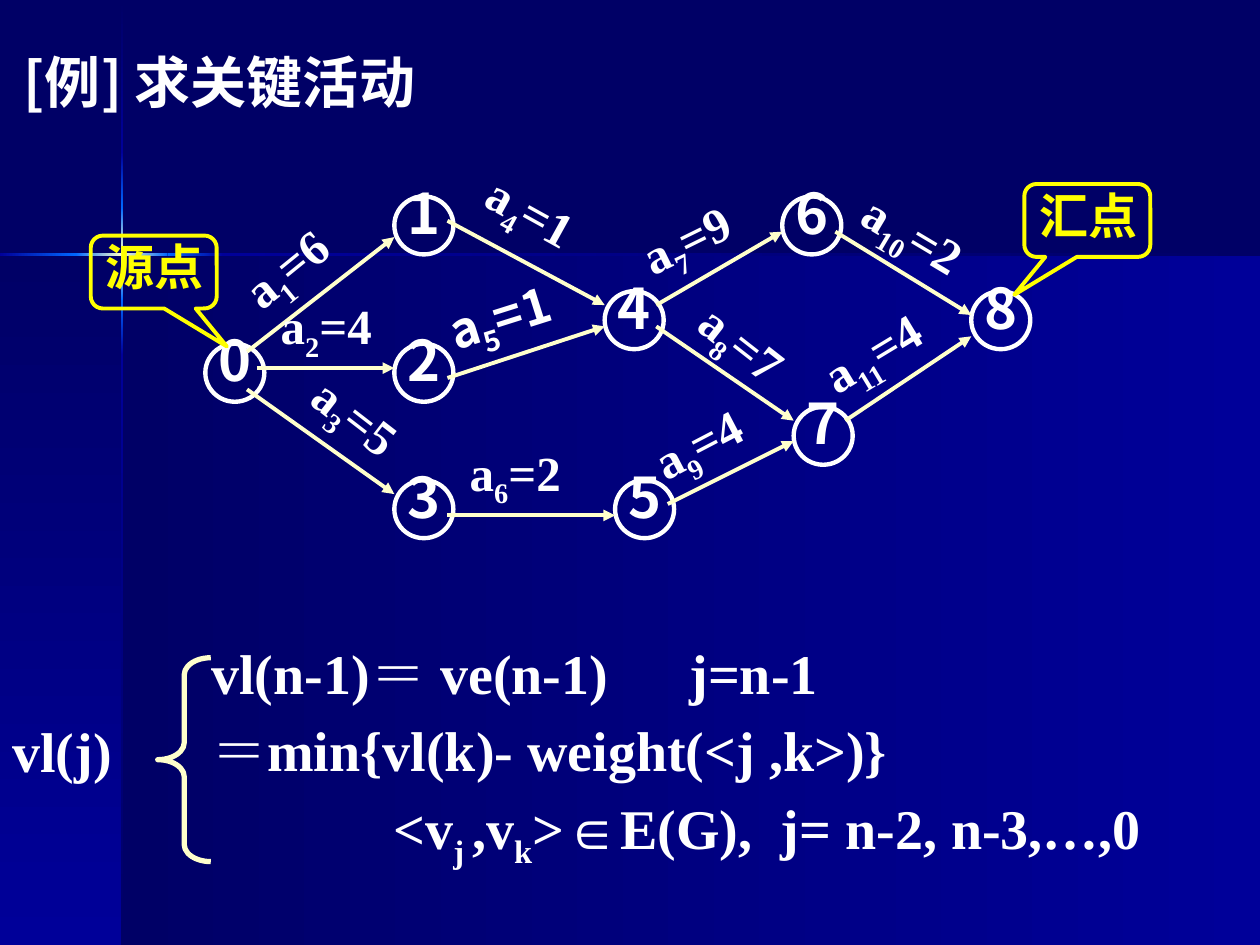
from itertools import pairwise

from lxml.etree import SubElement
from pptx import Presentation
from pptx.dml.color import RGBColor
from pptx.enum.shapes import MSO_CONNECTOR, MSO_SHAPE
from pptx.enum.text import MSO_ANCHOR, MSO_AUTO_SIZE, PP_ALIGN
from pptx.oxml import parse_xml
from pptx.oxml.ns import nsdecls, qn
from pptx.util import Cm, Pt

COLORS = {
    "night": "000066", "blue": "000099", "glow": "0066FF",
    "cream": "FFFFCC", "white": "FFFFFF", "yellow": "FFFF00",
}
SANS, SERIF = "Noto Sans CJK SC", "Times New Roman"
RIGHT, DOWN = 0, 90

NODE_SIZE = (1.19, 1.17)
# Left and top of each numbered event
NODES = [(2.54, 3.33), (6.35, 0.36), (6.35, 3.33), (6.35, 6.08), (10.59, 2.27),
         (10.8, 6.08), (14.17, 0.36), (14.4, 4.6), (17.98, 2.27)]
# Weight, target event, arrow start x and y, arrow end y, label left, top and angle
ACTIVITIES = [
    (6, 1, 3.38, 3.49, 1.18, 2.92, 0.87, -39.1),
    (4, 2, 3.58, 3.82, 3.82, 3.81, 2.24, 0),
    (5, 3, 3.38, 4.25, 6.36, 4.29, 4.45, 37.7),
    (1, 4, 7.42, 0.85, 2.55, 7.87, 0.24, 28.9),
    (1, 4, 7.42, 4.02, 2.98, 7.16, 1.91, -17.6),
    (2, 5, 7.42, 6.79, 6.79, 7.62, 5.19, 0),
    (9, 6, 11.63, 2.55, 1.07, 11, 0.21, -26.2),
    (7, 7, 11.63, 2.98, 4.88, 12.07, 2.98, 38),
    (4, 7, 11.86, 6.56, 5.29, 11.23, 4.32, -27.6),
    (2, 8, 15.24, 1.07, 2.75, 15.44, 0.64, 30.9),
    (4, 8, 15.44, 4.88, 3.18, 14.61, 2.52, -31.2),
]


def color(name):
    return RGBColor.from_string(COLORS[name])


def write(paragraph, text, size, font=SERIF, ink="white", align=PP_ALIGN.LEFT, tabs=()):
    """Fill a paragraph; every second piece between underscores is a subscript."""
    if tabs:
        tab_list = SubElement(paragraph._p.get_or_add_pPr(), qn("a:tabLst"))
        for stop in tabs:
            SubElement(tab_list, qn("a:tab"), pos=str(Cm(stop)), algn="l")
    for i, piece in enumerate(text.split("_")):
        run = paragraph.add_run()
        run.text = piece
        if i % 2:
            run._r.get_or_add_rPr().set("baseline", "-25000")
    paragraph.alignment = align
    paragraph.font.size, paragraph.font.bold = Pt(size), True
    paragraph.font.name = font
    paragraph.font.color.rgb = color(ink)
    latin = paragraph._p.pPr.find(qn("a:defRPr")).find(qn("a:latin"))
    latin.addnext(parse_xml(f'<a:ea {nsdecls("a")} typeface="{font}"/>'))


def add_text(slide, left, top, width, height, text="", size=32, inset=True, **style):
    box = slide.shapes.add_textbox(Cm(left), Cm(top), Cm(width), Cm(height))
    frame = box.text_frame
    frame.word_wrap = True
    if not inset:
        frame.margin_left = frame.margin_right = frame.margin_top = frame.margin_bottom = 0
    if text:
        write(frame.paragraphs[0], text, size, **style)
    return box


def add_outline(slide, kind, left, top, width, height, ink, weight):
    shape = slide.shapes.add_shape(kind, Cm(left), Cm(top), Cm(width), Cm(height))
    shape.shadow.inherit = False
    shape.fill.background()
    shape.line.color.rgb = color(ink)
    shape.line.width = Pt(weight)
    return shape


def add_gradient(slide, left, top, width, height, names, angle):
    panel = slide.shapes.add_shape(
        MSO_SHAPE.RECTANGLE, Cm(left), Cm(top), Cm(width), Cm(height))
    stops = "".join(
        f'<a:gs pos="{i * 100000 // (len(names) - 1)}"><a:srgbClr val="{COLORS[name]}"/></a:gs>'
        for i, name in enumerate(names))
    panel._element.spPr.find(qn("a:prstGeom")).addnext(parse_xml(
        f'<a:gradFill {nsdecls("a")} rotWithShape="1"><a:gsLst>{stops}</a:gsLst>'
        f'<a:lin ang="{angle * 60000}" scaled="0"/></a:gradFill>'))
    panel.line.fill.background()
    panel.shadow.inherit = False


def add_backdrop(slide, width, height, beam_x, beam_y):
    slide.background.fill.solid()
    slide.background.fill.fore_color.rgb = color("night")
    add_gradient(slide, beam_x, beam_y, width - beam_x, height - beam_y,
                 ["night", "blue"], RIGHT)
    add_gradient(slide, 0, beam_y, beam_x, height - beam_y, ["night", "blue"], DOWN)

    # Two thin beams that flare where they cross
    flare = [("night", "blue"), ("blue", "glow"), ("glow", "cream", "glow"),
             ("glow", "blue"), ("blue", "night")]
    thickness = 0.05
    rows = pairwise([0, 3.07, 4.19, 6.05, 7.16, height])
    for (start, end), names in zip(rows, flare):
        add_gradient(slide, beam_x - 0.02, start, thickness, end - start, names, DOWN)
    columns = pairwise([0, 1.53, 3.38, 4.5, width])
    for (start, end), names in zip(columns, flare[1:]):
        add_gradient(slide, start, beam_y - 0.02, end - start, thickness, names, RIGHT)


def add_title(slide, left, top, width, height):
    title = slide.shapes.title
    title.left, title.top, title.width, title.height = map(Cm, (left, top, width, height))
    frame = title.text_frame
    frame.auto_size = MSO_AUTO_SIZE.NONE
    frame.vertical_anchor = MSO_ANCHOR.TOP
    frame.margin_left = Cm(0.48)
    write(frame.paragraphs[0], "[例] 求关键活动", 32, font=SANS)


def add_arrow(slide, x1, y1, x2, y2):
    arrow = slide.shapes.add_connector(
        MSO_CONNECTOR.STRAIGHT, Cm(x1), Cm(y1), Cm(x2), Cm(y2))
    arrow.line.color.rgb = color("cream")
    arrow.line.width = Pt(2.25)
    SubElement(arrow.line._get_or_add_ln(), qn("a:tailEnd"), type="triangle")
    SubElement(arrow._element.spPr, qn("a:effectLst"))


def add_callout(slide, left, top, text, tip_x):
    add_text(slide, left - 0.2, top - 0.1, 2.97, 1.45, text, 28,
             font=SANS, ink="yellow", align=PP_ALIGN.CENTER)
    bubble = add_outline(slide, MSO_SHAPE.ROUNDED_RECTANGULAR_CALLOUT,
                         left, top, 2.54, 1.47, "yellow", 2.25)
    bubble.adjustments[0], bubble.adjustments[1] = tip_x, 1.02


def add_network(slide, left, top):
    # Events
    width, height = NODE_SIZE
    for number, (x, y) in enumerate(NODES):
        add_outline(slide, MSO_SHAPE.OVAL, left + x, top + y, width, height, "white", 2.5)
        add_text(slide, left + x + 0.05, top + y - 0.36, width - 0.1, 1.6, str(number),
                 inset=False, font=SANS, align=PP_ALIGN.CENTER)

    # Activities
    for number, (weight, target, x, y, end_y, label_x, label_y, angle) in enumerate(
            ACTIVITIES, start=1):
        add_arrow(slide, left + x, top + y, left + NODES[target][0], top + end_y)
        label = add_text(slide, left + label_x, top + label_y, 2.97 if number == 1 else 3.61,
                         1.45, f"a_{number}_={weight}", 28,
                         font=SANS if number == 5 else SERIF)
        label.rotation = angle

    # Source and sink
    add_callout(slide, left + 0.23, top + 1.15, "源点", 0.58)
    add_callout(slide, left + 19.05, top + 0.11, "汇点", -0.58)


def add_formula(slide, left, top):
    brace = add_outline(slide, MSO_SHAPE.LEFT_BRACE, left + 3.18, top + 0.64,
                        1.07, 4.11, "cream", 3)
    brace.adjustments[0] = 0.32
    add_text(slide, left, top + 1.7, 3.81, 1.6, "vl(j)")

    cases = add_text(slide, left + 4.01, top, 23.06, 6.43).text_frame
    lines = [
        ("vl(n-1)＝ ve(n-1)\tj=n-1", [9.64]),
        ("＝min{vl(k)- weight(<j ,k>)}", []),
        ("\t<v_j _,v_k_>∈E(G),\tj= n-2, n-3,…,0", [3.67, 11.48]),
    ]
    for i, (text, tabs) in enumerate(lines):
        line = cases.add_paragraph() if i else cases.paragraphs[0]
        line.line_spacing = 1.1
        line.space_before = Pt(1.6 if i else 0)
        write(line, text, 32, tabs=tabs)


def main():
    deck = Presentation()
    deck.slide_width, deck.slide_height = Cm(25.4), Cm(19.05)
    slide = deck.slides.add_slide(deck.slide_layouts[5])
    add_backdrop(slide, 25.4, 19.05, beam_x=2.46, beam_y=5.13)
    add_title(slide, 0, 0.84, 25.4, 2)
    add_network(slide, 1.6, 3.6)
    add_formula(slide, 0, 12.62)
    deck.save("out.pptx")


if __name__ == "__main__":
    main()
